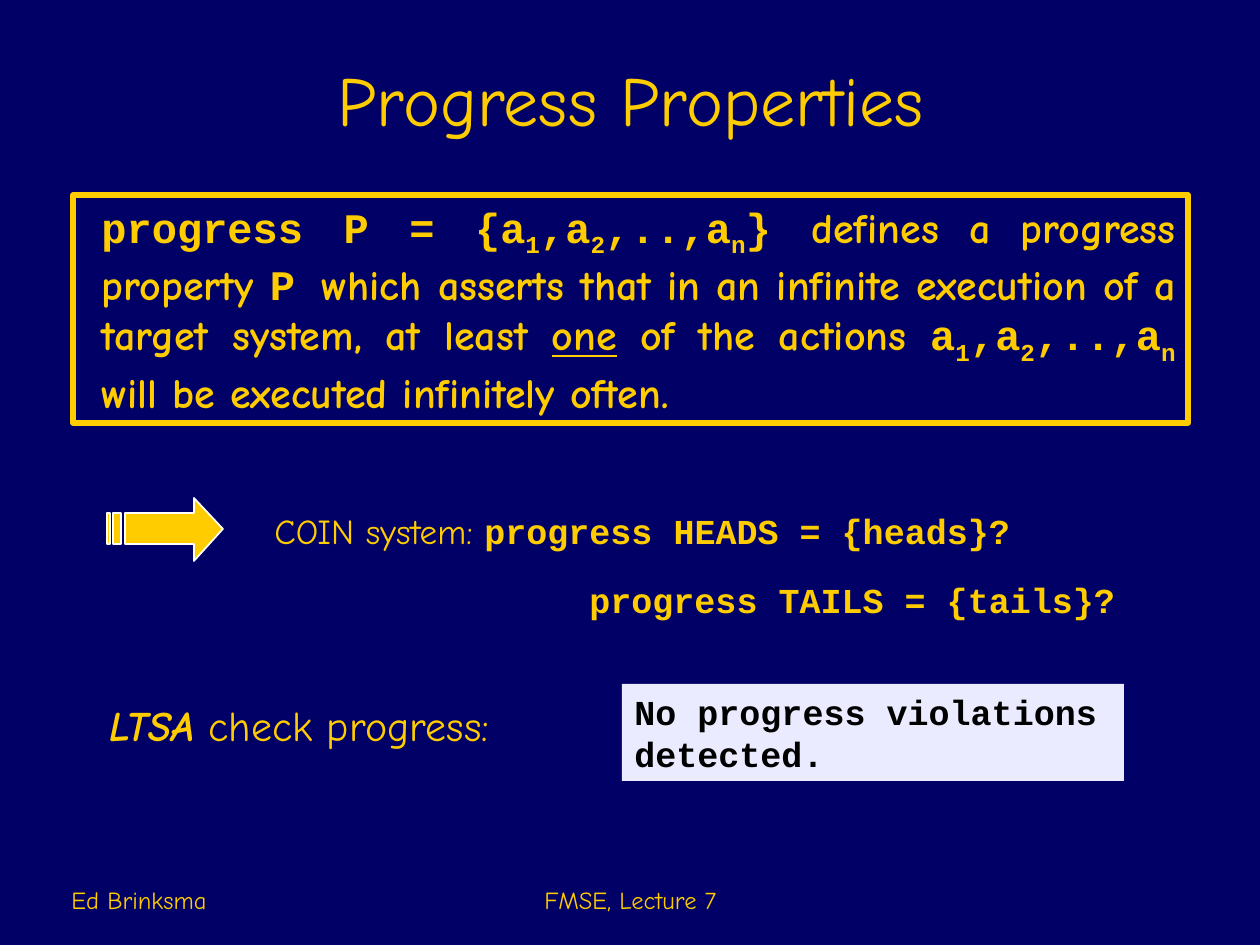
import pptx
import pptx.dml.color
import pptx.enum.shapes
import pptx.enum.text
import pptx.oxml.ns
import pptx.util
from lxml import etree

PX = 914400 // 126
GOLD, NAVY, WHITE, LILAC, BLACK = "FFCC00", "000066", "FFFFFF", "EBEBFF", "000000"
HAND, CODE = "Comic Neue", "Courier New"
TAB_STEP = 105
ALIGN = pptx.enum.text.PP_ALIGN
ANCHOR = pptx.enum.text.MSO_ANCHOR


def px(length):
    return pptx.util.Emu(length * PX)


def rgb(value):
    return pptx.dml.color.RGBColor.from_string(value)


def add_tabs(para, count=7):
    tabs = etree.SubElement(para._p.get_or_add_pPr(), pptx.oxml.ns.qn("a:tabLst"))
    for index in range(1, count + 1):
        etree.SubElement(tabs, pptx.oxml.ns.qn("a:tab"),
                         pos=str(px(index * TAB_STEP)), algn="l")


def add_span(para, text, name=None, bold=None, italic=None, underline=None, sub=False):
    span = para.add_run()
    span.text = text
    font = span.font
    font.name, font.bold, font.italic, font.underline = name, bold, italic, underline
    if sub:
        span._r.get_or_add_rPr().set("baseline", "-25000")


def add_action_list(para, start, end):
    """Write a1,a2,..,an in code type, with lowered indices."""
    for text, sub in ((start, False), ("1", True), (",a", False), ("2", True),
                      (",..,a", False), (end, True)):
        add_span(para, text, CODE, sub=sub)


def style_para(para, size, color=GOLD, name=None, bold=None, align=ALIGN.LEFT):
    para.alignment = align
    font = para.font
    font.size, font.name, font.bold = pptx.util.Pt(size), name, bold
    font.color.rgb = rgb(color)


def prepare_frame(shape, anchor=ANCHOR.TOP):
    frame = shape.text_frame
    frame.word_wrap = True
    frame.vertical_anchor = anchor
    return frame


def add_text_box(page, left, top, width, height, anchor=ANCHOR.TOP):
    box = page.shapes.add_textbox(px(left), px(top), px(width), px(height))
    return prepare_frame(box, anchor)


def add_label(page, place, text, size, align=ALIGN.LEFT):
    """Add one line of handwriting standing on the bottom of its box."""
    para = add_text_box(page, *place, anchor=ANCHOR.BOTTOM).paragraphs[0]
    para.text = text
    style_para(para, size, name=HAND, align=align)


def add_panel(page, left, top, width, height, fill=None, line=None):
    panel = page.shapes.add_shape(pptx.enum.shapes.MSO_SHAPE.RECTANGLE,
                                  px(left), px(top), px(width), px(height))
    panel.shadow.inherit = False
    if fill:
        panel.fill.solid()
        panel.fill.fore_color.rgb = rgb(fill)
    else:
        panel.fill.background()
    if line:
        panel.line.color.rgb = rgb(line)
        panel.line.width = pptx.util.Pt(3)
    else:
        panel.line.fill.background()
    return prepare_frame(panel)


def add_definition(page):
    para = add_panel(page, 73, 195, 1115, 228, line=GOLD).paragraphs[0]
    para._p.get_or_add_pPr().set("marL", str(px(16)))
    add_tabs(para)
    style_para(para, 24, bold=True, align=ALIGN.JUSTIFY)
    para.space_after = pptx.util.Pt(12)
    add_action_list(para, "progress P = {a", "n")
    add_span(para, "} ", CODE)
    add_span(para, "defines a progress property ", HAND)
    add_span(para, "P ", CODE)
    add_span(para, "which asserts that in an infinite execution of a target system, "
                   "at least ", HAND)
    add_span(para, "one", HAND, underline=True)
    add_span(para, " of the actions ", HAND)
    add_action_list(para, "a", "n ")
    add_span(para, "will be executed infinitely often.", HAND)


def add_coin_queries(page):
    frame = add_text_box(page, 262, 508, 969, 118)
    heads, tails = frame.paragraphs[0], frame.add_paragraph()
    for para, spacing in ((heads, 0.9), (tails, 1.1)):
        add_tabs(para)
        style_para(para, 20)
        para.line_spacing = spacing
    tails.space_before = pptx.util.Pt(12.5)
    add_span(heads, "COIN system:\t", HAND)
    add_span(heads, "progress HEADS = {heads}?", CODE, bold=True)
    add_span(tails, "\t\t\tprogress TAILS = {tails}?", CODE, bold=True)


def add_striped_arrow(page):
    top, bottom = 513, 544
    outlines = [[(125, top), (194, top), (194, 498), (223, 529), (194, 561),
                 (194, bottom), (125, bottom)]]
    for left, right in ((107, 110), (113, 121)):
        outlines.append([(left, top), (right, top), (right, bottom), (left, bottom)])
    builder = page.shapes.build_freeform(*outlines[0][0], scale=PX)
    for index, (start, *rest) in enumerate(outlines):
        if index:
            builder.move_to(*start)
        builder.add_line_segments(rest, close=True)
    arrow = builder.convert_to_shape()
    arrow.shadow.inherit = False
    arrow.fill.solid()
    arrow.fill.fore_color.rgb = rgb(GOLD)
    arrow.line.color.rgb = rgb(WHITE)
    arrow.line.width = pptx.util.Pt(1)


def add_check(page):
    para = add_text_box(page, 97, 693, 469, 63).paragraphs[0]
    style_para(para, 24, name=HAND)
    add_span(para, "LTSA", bold=True, italic=True)
    add_span(para, " check progress:")

    para = add_panel(page, 622, 684, 502, 97, fill=LILAC).paragraphs[0]
    para.text = "No progress violations detected."
    style_para(para, 20, BLACK, CODE, bold=True)


def main():
    deck = pptx.Presentation()
    deck.slide_width, deck.slide_height = px(1260), px(945)
    page = deck.slides.add_slide(deck.slide_layouts[6])
    page.background.fill.solid()
    page.background.fill.fore_color.rgb = rgb(NAVY)

    add_label(page, (95, -10, 1071, 157), "Progress Properties", 40, ALIGN.CENTER)
    add_definition(page)
    add_coin_queries(page)
    add_striped_arrow(page)
    add_check(page)
    add_label(page, (431, 858, 399, 63), "FMSE, Lecture 7", 14, ALIGN.CENTER)
    add_label(page, (59, 858, 262, 63), "Ed Brinksma", 14)
    deck.save("out.pptx")


if __name__ == "__main__":
    main()
